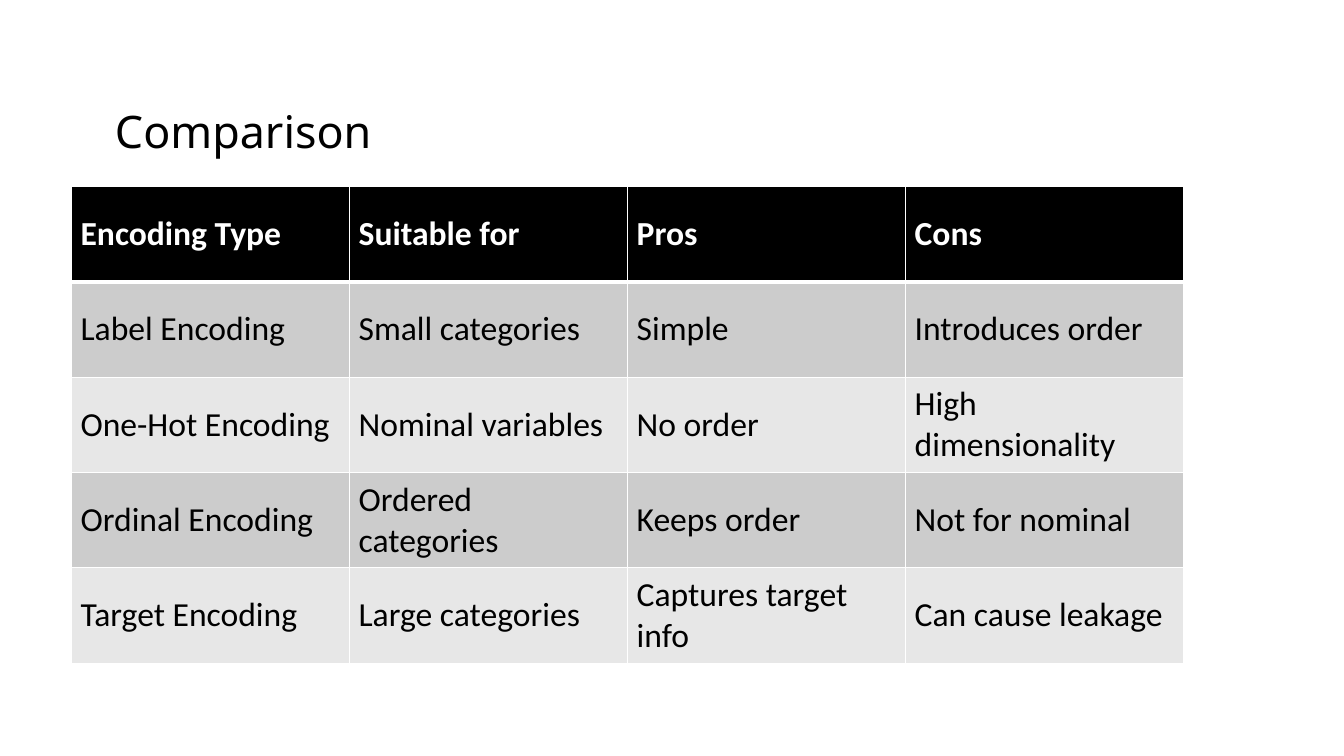
from lxml import etree
from pptx import Presentation
from pptx import util as u
from pptx.dml.color import RGBColor
from pptx.enum import text
from pptx.oxml import ns

BLACK = RGBColor(0, 0, 0)
WHITE = RGBColor(255, 255, 255)
DARK = RGBColor(0xCC, 0xCC, 0xCC)
LIGHT = RGBColor(0xE7, 0xE7, 0xE7)

ROWS = [
    ("Encoding Type", "Suitable for", "Pros", "Cons"),
    ("Label Encoding", "Small categories", "Simple", "Introduces order"),
    ("One-Hot Encoding", "Nominal variables", "No order", "High dimensionality"),
    ("Ordinal Encoding", "Ordered categories", "Keeps order", "Not for nominal"),
    ("Target Encoding", "Large categories", "Captures target info", "Can cause leakage"),
]


def write(frame, words, size=24, font="Calibri", color=BLACK, bold=False, line=None):
    para = frame.paragraphs[0]
    para.alignment = text.PP_ALIGN.LEFT
    if line:
        para.line_spacing = u.Pt(line)
    run = para.add_run()
    run.text = words
    run.font.size = u.Pt(size)
    run.font.name = font
    run.font.bold = bold
    run.font.color.rgb = color


def edge(cell, side, width):
    """Draw a white border on one side (L, R, T or B) of a cell."""
    props = cell._tc.get_or_add_tcPr()
    line = etree.SubElement(props, ns.qn("a:ln" + side), w=str(u.Pt(width)))
    fill = etree.SubElement(line, ns.qn("a:solidFill"))
    etree.SubElement(fill, ns.qn("a:srgbClr"), val=str(WHITE))


class Page:
    def __init__(self, deck):
        self.slide = deck.slides.add_slide(deck.slide_layouts[5])

    def title(self, words, *box):
        shape = self.slide.shapes.title
        shape.left, shape.top, shape.width, shape.height = map(u.Inches, box)
        frame = shape.text_frame
        frame.word_wrap = True
        frame.auto_size = text.MSO_AUTO_SIZE.NONE
        frame.vertical_anchor = text.MSO_ANCHOR.TOP
        frame.margin_left = frame.margin_right = u.Inches(0.1)
        frame.margin_top, frame.margin_bottom = u.Inches(0.12), u.Inches(0.05)
        write(frame, words, size=32, font="Noto Sans", line=38.4)

    def table(self, rows, *box):
        grid = self.slide.shapes.add_table(
            len(rows), len(rows[0]), *map(u.Inches, box)).table
        for r, row in enumerate(rows):
            head = r == 0
            shade = BLACK if head else DARK if r % 2 else LIGHT
            for c, words in enumerate(row):
                cell = grid.cell(r, c)
                cell.vertical_anchor = text.MSO_ANCHOR.MIDDLE
                cell.margin_left = cell.margin_right = u.Inches(0.09)
                cell.margin_top = cell.margin_bottom = u.Inches(0.04)
                for side in "LRTB":
                    thick = (r, side) in ((0, "B"), (1, "T"))
                    edge(cell, side, 3 if thick else 1)
                cell.fill.solid()
                cell.fill.fore_color.rgb = shade
                write(cell.text_frame, words, bold=head,
                      color=WHITE if head else BLACK)


def main():
    deck = Presentation()
    deck.slide_width, deck.slide_height = u.Inches(13.33), u.Inches(7.5)
    page = Page(deck)
    page.title("Comparison", 1.04, 0.91, 10.36, 0.78)
    page.table(ROWS, 0.71, 1.85, 11.03, 4.73)
    deck.save("out.pptx")


if __name__ == "__main__":
    main()
